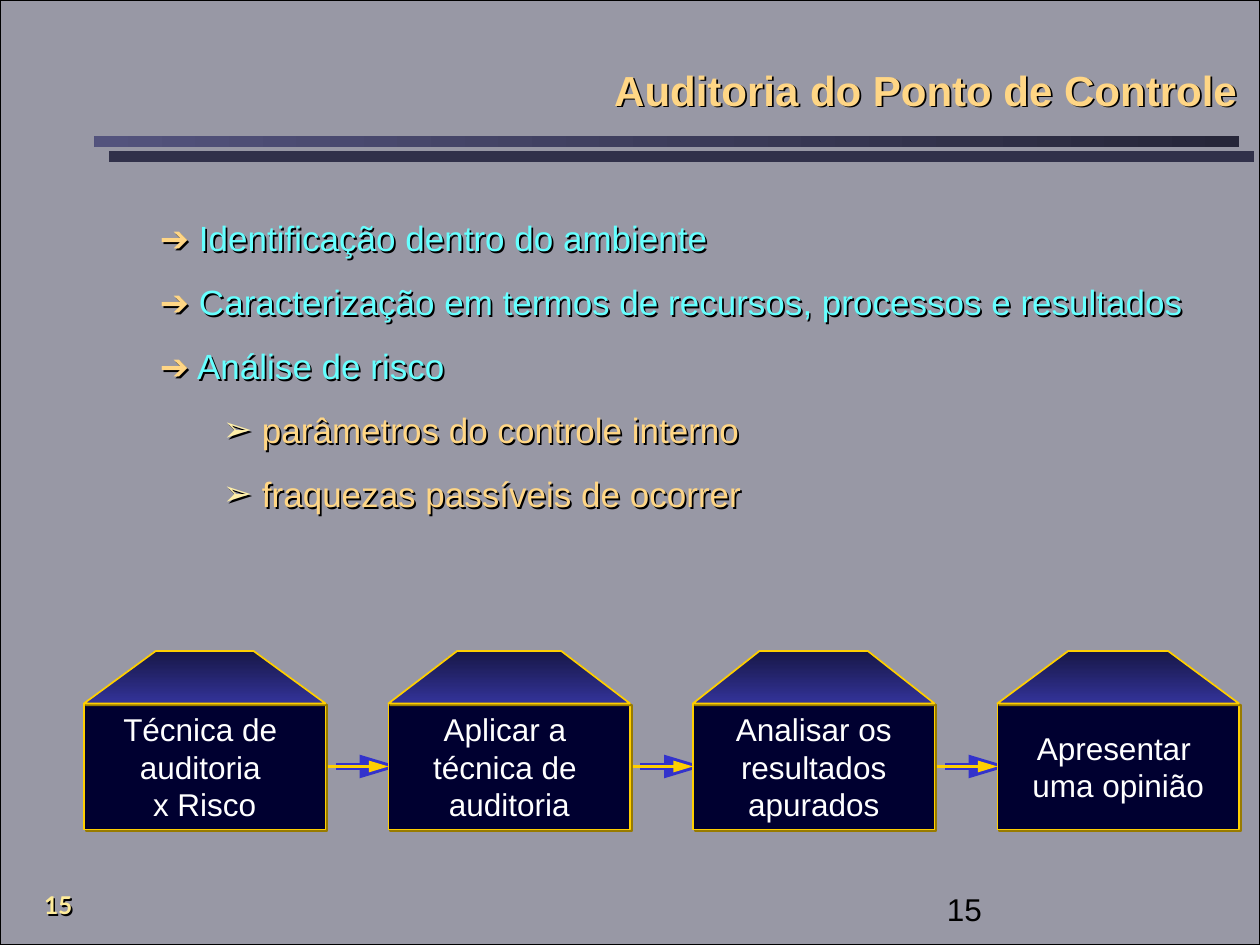
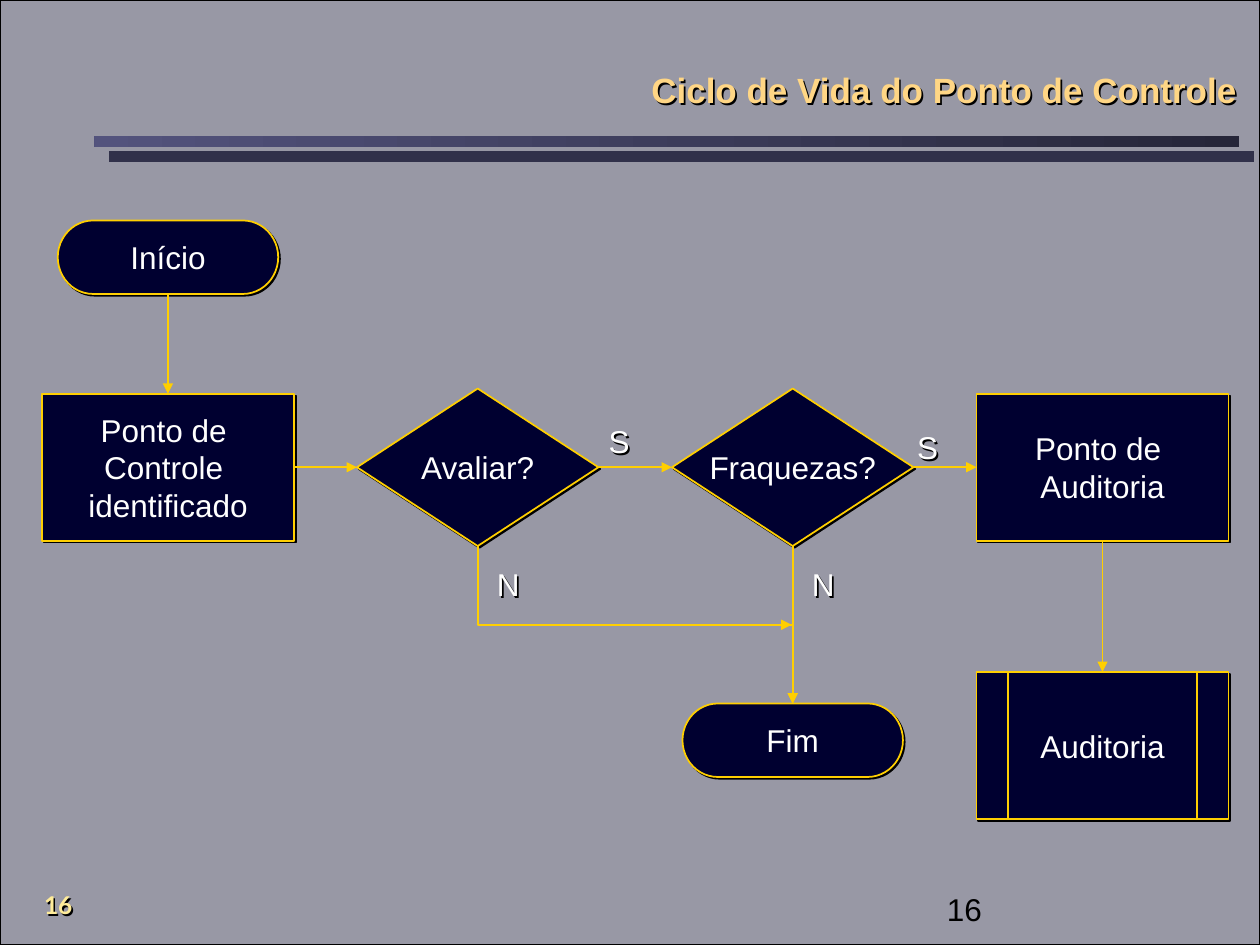
from copy import deepcopy
from dataclasses import dataclass

from lxml import etree
from pptx import Presentation, util as u
from pptx.dml.color import RGBColor
from pptx.enum import shapes, text
from pptx.oxml.ns import qn


@dataclass(frozen=True)
class Theme:
    veil: str = "32324C"
    bar_dark: str = "262639"
    bar_light: str = "53537D"
    bar_shadow: str = "31314A"
    heading: str = "FFD685"
    topic: str = "66FFFF"
    marker: str = "FFEFA9"
    number: str = "FFEC99"
    node: str = "000030"
    gold: str = "FFCF01"
    gold_shadow: str = "987B00"
    blue: str = "3333CC"
    roof_low: str = "333399"
    roof_high: str = "171746"
    white: str = "FFFFFF"
    black: str = "000000"
    font: str = "Arial"
    number_font: str = "Lato"
    label_size: int = 18
    body_size: int = 20
    number_size: int = 14


T = Theme()
RGB = RGBColor.from_string
PRESET = shapes.MSO_SHAPE
ALIGN = text.PP_ALIGN
ANCHOR = text.MSO_ANCHOR

deck = Presentation()
deck.slide_width, deck.slide_height = u.Inches(10), u.Inches(7.5)
CELL = deck.slide_width / 120  # the grid has 120 columns and 90 rows


def dress(shape, lines=(), fill=None, line=T.gold, shadow=None, distance=1.41,
          size=T.label_size, color=T.white, font=T.font, bold=False, align=ALIGN.CENTER,
          anchor=ANCHOR.MIDDLE, wrap=False):
    """Give a shape its fill, outline, hard shadow and formatted text.

    A fill given as a pair of colours becomes a gradient.
    Without a fill, the shadow falls from the letters.
    """
    if isinstance(fill, tuple):
        shape.fill.gradient()
        for stop, stop_color in zip(shape.fill.gradient_stops, fill):
            stop.color.rgb = RGB(stop_color)
    elif fill:
        shape.fill.solid()
        shape.fill.fore_color.rgb = RGB(fill)
    if fill and line:
        shape.line.color.rgb = RGB(line)
        shape.line.width = u.Pt(1)
    else:
        shape.line.fill.background()
    shape.shadow.inherit = False
    if shadow:
        effects = shape._element.spPr.find(qn("a:effectLst"))
        cast = etree.SubElement(effects, qn("a:outerShdw"), dist=str(u.Pt(distance)),
                                dir="2700000", algn="ctr", rotWithShape="0")
        etree.SubElement(cast, qn("a:srgbClr"), val=shadow)

    frame = shape.text_frame
    frame.text = "\n".join(lines)
    frame.word_wrap = wrap
    frame.vertical_anchor = anchor
    for paragraph in frame.paragraphs:
        paragraph.alignment = align
        for run in paragraph.runs:
            run.font.size, run.font.bold, run.font.name = u.Pt(size), bold, font
            run.font.color.rgb = RGB(color)
    return shape


def arrow(slide, start, end, color=T.gold, width=1.0, head="med",
          kind=shapes.MSO_CONNECTOR.STRAIGHT):
    ends = [round(v * CELL) for v in (*start, *end)]
    connector = slide.shapes.add_connector(kind, *ends)
    connector.line.color.rgb = RGB(color)
    connector.line.width = u.Pt(width)
    etree.SubElement(connector.line._get_or_add_ln(), qn("a:tailEnd"),
                     type="triangle", w="med", len=head)
    etree.SubElement(connector._element.spPr, qn("a:effectLst"))
    return connector


# Parts shared by both slides
slides = []
for number, title, title_size in [("15", "Auditoria do Ponto de Controle", 24),
                                  ("16", "Ciclo de Vida do Ponto de Controle", 20)]:
    slide = deck.slides.add_slide(deck.slide_layouts[6])
    slides.append(slide)

    veil = slide.shapes.add_shape(PRESET.RECTANGLE, 0, 0, deck.slide_width, deck.slide_height)
    dress(veil, fill=T.veil, line=T.black)
    veil.line.width = u.Pt(0.75)
    veil_color = veil._element.spPr.find(qn("a:solidFill"))[0]
    etree.SubElement(veil_color, qn("a:alpha"), val="50000")

    bar = slide.shapes.add_shape(PRESET.RECTANGLE, *[round(v * CELL) for v in (9, 13, 109, 1)])
    dress(bar, fill=(T.bar_dark, T.bar_light), line=None, shadow=T.bar_shadow, distance=12.1)
    bar.fill.gradient_angle = 180

    for at, wording, look in [
        ((-1.65, 84.15, 14.4, 4.4), number,
         dict(size=T.number_size, color=T.number, font=T.number_font, bold=True,
              anchor=ANCHOR.TOP, shadow=T.black)),
        ((16.75, 1, 102.25, 15), title,
         dict(size=title_size, color=T.heading, bold=True, align=ALIGN.RIGHT,
              wrap=True, shadow=T.black)),
        ((89, 83, 25, 6), number,
         dict(color=T.black, align=ALIGN.LEFT, anchor=ANCHOR.BOTTOM, wrap=True)),
    ]:
        dress(slide.shapes.add_textbox(*[round(v * CELL) for v in at]), [wording], **look)

audit, cycle = slides

# Control point audit: topics above a chain of four steps
topics = ["Identificação dentro do ambiente",
          "Caracterização em termos de recursos, processos e resultados",
          "Análise de risco"]
subtopics = ["parâmetros do controle interno", "fraquezas passíveis de ocorrer"]
body = audit.shapes.add_textbox(*[round(v * CELL) for v in (14.05, 20.05, 103, 60)])
dress(body, ["➔"] * len(topics) + subtopics, size=T.body_size, color=T.heading,
      align=ALIGN.LEFT, anchor=ANCHOR.TOP, wrap=True, shadow=T.black)
for index, paragraph in enumerate(body.text_frame.paragraphs):
    paragraph.space_before = u.Pt(12.5)
    is_topic = index < len(topics)
    margin, hanging = (0.38, 0.38) if is_topic else (0.81, 0.31)
    properties = paragraph._p.get_or_add_pPr()
    properties.set("marL", str(u.Inches(margin)))
    properties.set("indent", str(-u.Inches(hanging)))
    if is_topic:
        paragraph._p.append(deepcopy(paragraph.runs[0]._r))
        paragraph.runs[1].text = " " + topics[index]
        paragraph.runs[1].font.color.rgb = RGB(T.topic)
    else:
        paragraph.level = 1
        bullet_color = etree.SubElement(properties, qn("a:buClr"))
        etree.SubElement(bullet_color, qn("a:srgbClr"), val=T.marker)
        etree.SubElement(properties, qn("a:buFont"), typeface=T.font)
        etree.SubElement(properties, qn("a:buChar"), char="➢")

STEP_LEFT, STEP_TOP, STEP_WIDTH, STEP_HEIGHT, STEP_PITCH = 8, 67, 23, 12, 29
ROOF_TOP = 62
FINE = 100  # freeform points are whole numbers, so cells are split
steps = [(["Técnica de ", "auditoria ", "x Risco"], 6.85),
         (["Aplicar a ", "técnica de ", "auditoria"], 6.55),
         (["Analisar os", "resultados", "apurados"], 6.35),
         (["Apresentar ", "uma opinião"], 6.75)]

for color, width, offset in [(T.blue, 4.5, 1), (T.gold, 2.25, 0)]:
    for index in range(len(steps) - 1):
        x = STEP_LEFT + STEP_WIDTH + index * STEP_PITCH + offset
        y = STEP_TOP + STEP_HEIGHT / 2
        arrow(audit, (x, y), (x + 6, y), color, width, head="lg")

for index, (lines, slope) in enumerate(steps):
    left = STEP_LEFT + index * STEP_PITCH
    right = left + STEP_WIDTH
    at = [round(v * CELL) for v in (left, STEP_TOP, STEP_WIDTH, STEP_HEIGHT)]
    dress(audit.shapes.add_shape(PRESET.FLOWCHART_PROCESS, *at), lines,
          fill=T.node, shadow=T.gold_shadow)
    outline = audit.shapes.build_freeform(left * FINE, STEP_TOP * FINE, scale=CELL / FINE)
    outline.add_line_segments([(x * FINE, y * FINE) for x, y in [
        (right, STEP_TOP), (right - slope, ROOF_TOP), (left + slope, ROOF_TOP)]])
    roof = dress(outline.convert_to_shape(), fill=(T.roof_low, T.roof_high),
                 shadow=T.gold_shadow)
    roof.fill.gradient_angle = 90

# Control point life cycle: flowchart
for preset, at, lines in [
    (PRESET.RECTANGLE, (4, 37.5, 24, 14), ["Ponto de ", "Controle ", "identificado"]),
    (PRESET.FLOWCHART_TERMINATOR, (5.5, 21, 21, 7), ["Início"]),
    (PRESET.FLOWCHART_PREDEFINED_PROCESS, (93, 64, 24, 14), ["Auditoria"]),
    (PRESET.RECTANGLE, (93, 37.5, 24, 14), ["Ponto de ", "Auditoria"]),
    (PRESET.FLOWCHART_DECISION, (64, 37, 23, 15), ["Fraquezas?"]),
    (PRESET.FLOWCHART_TERMINATOR, (65, 67, 21, 7), ["Fim"]),
    (PRESET.FLOWCHART_DECISION, (34, 37, 23, 15), ["Avaliar?"]),
]:
    dress(cycle.shapes.add_shape(preset, *[round(v * CELL) for v in at]), lines,
          fill=T.node, shadow=T.black)

for start, end in [((28, 44.5), (34, 44.5)), ((57, 44.5), (64, 44.5)),
                   ((87, 44.5), (93, 44.5)), ((16, 28), (16, 37.5)),
                   ((105, 51.5), (105, 64)), ((75.5, 52), (75.5, 67)),
                   ((69.4, 59.5), (75.4, 59.5))]:
    arrow(cycle, start, end)

# A quarter turn makes the elbow leave "Avaliar?" downwards and end at "Fim"
elbow = arrow(cycle, (68, 44.5), (53, 74.5), kind=shapes.MSO_CONNECTOR.ELBOW)
elbow._element.spPr.find(qn("a:xfrm")).set("rot", str(270 * 60000))

for answer, left, top in [("N", 76.15, 53.2), ("S", 86.1, 40.2),
                          ("S", 56.7, 39.6), ("N", 46.15, 53.2)]:
    at = [round(v * CELL) for v in (left, top, 4.5, 4.8)]
    dress(cycle.shapes.add_textbox(*at), [answer], shadow=T.black)

deck.save("out.pptx")
